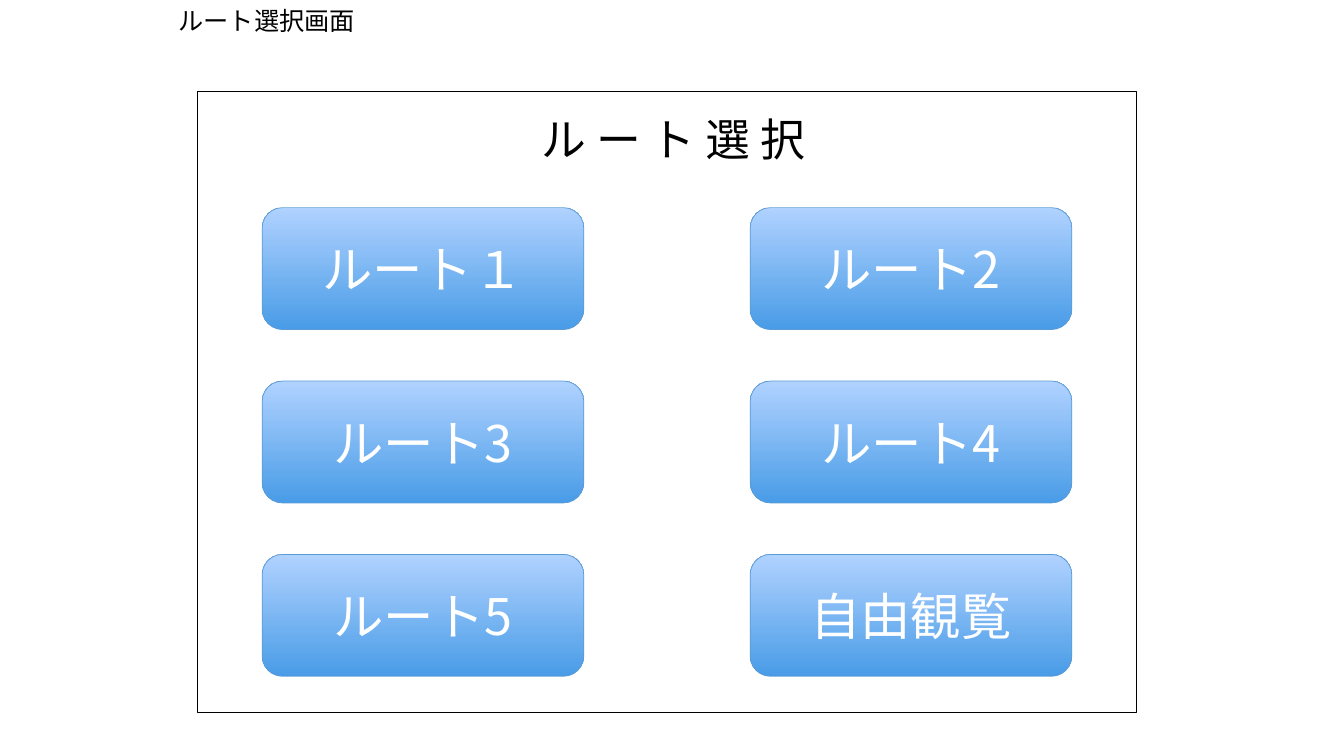
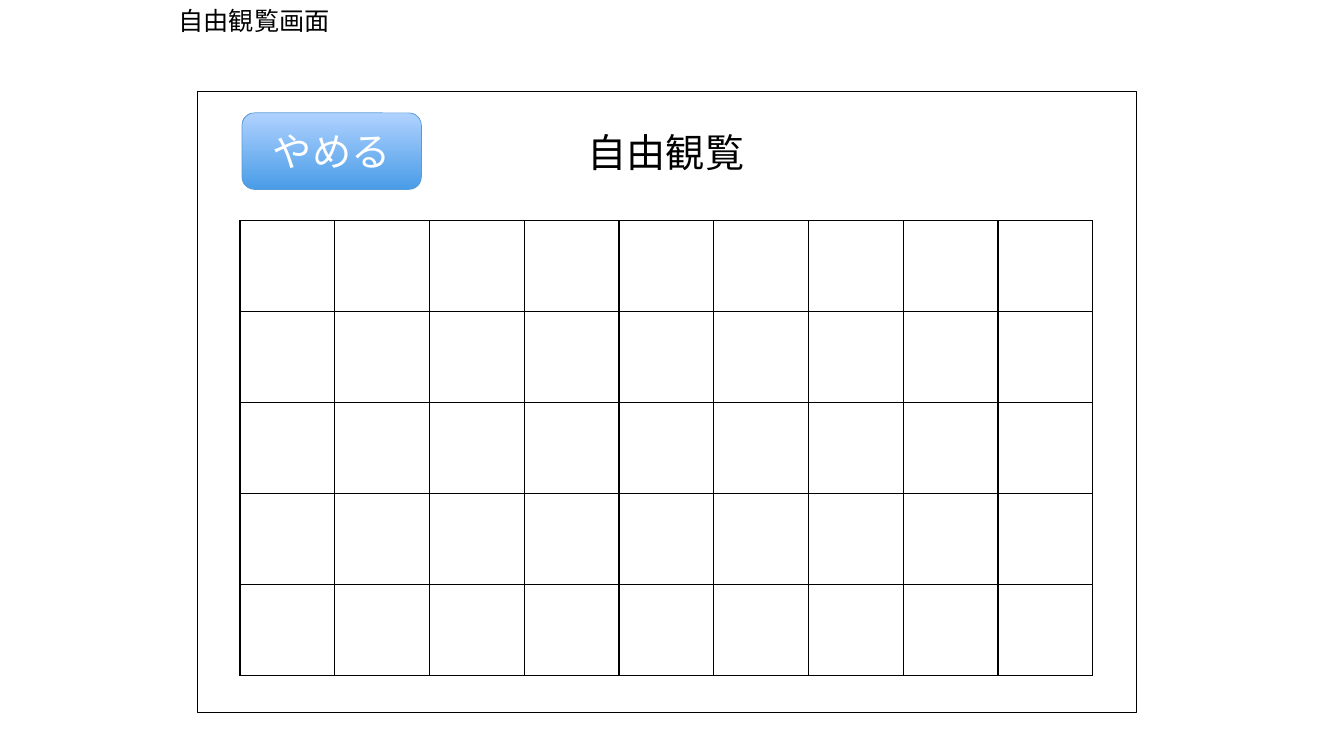
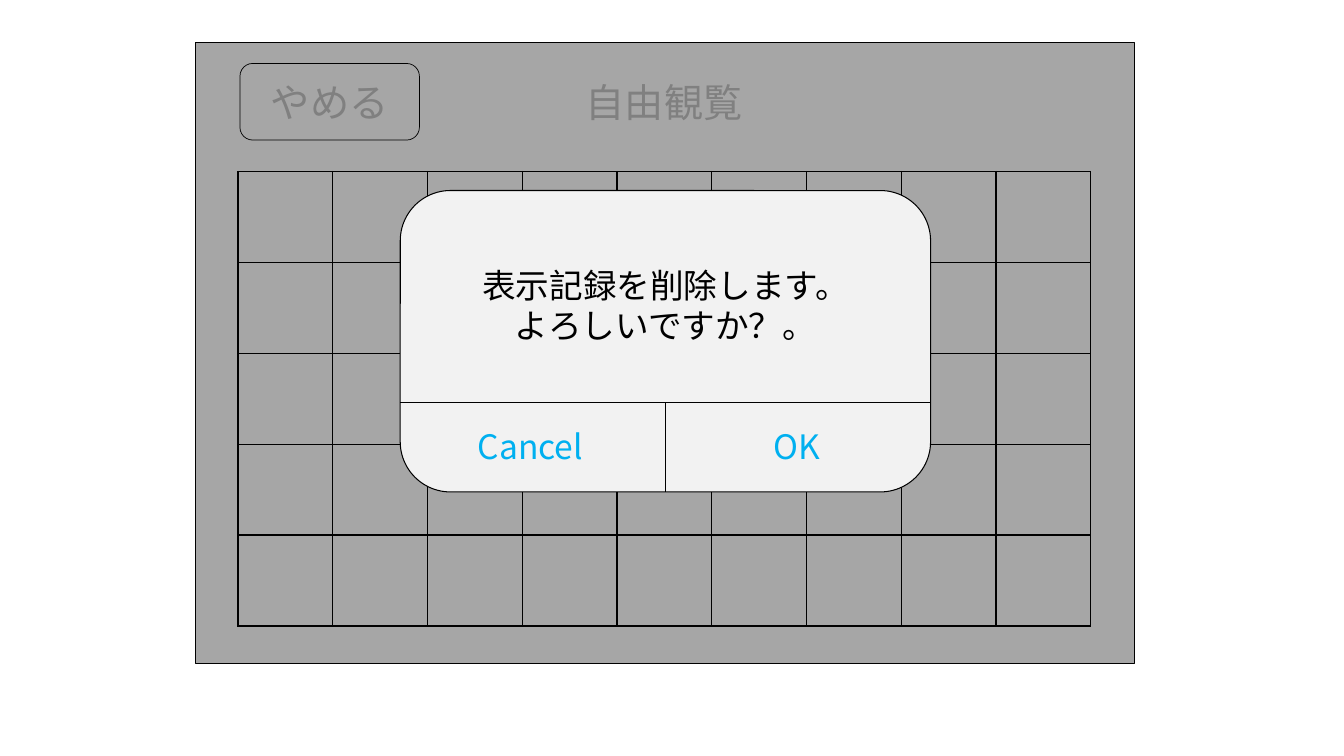
from dataclasses import dataclass
from itertools import product

from lxml.etree import SubElement
from pptx import Presentation
from pptx.dml.color import RGBColor
from pptx.enum.shapes import MSO_CONNECTOR, MSO_SHAPE
from pptx.enum.text import MSO_ANCHOR, MSO_AUTO_SIZE, PP_ALIGN
from pptx.oxml.ns import qn
from pptx.shapes.autoshape import Shape
from pptx.slide import Slide
from pptx.text.text import TextFrame
from pptx.util import Inches, Pt


@dataclass(frozen=True)
class Theme:
    font: str = "Noto Sans CJK JP"
    black: str = "000000"
    white: str = "FFFFFF"
    dimmed: str = "A6A6A6"
    dimmed_text: str = "808080"
    dialog: str = "F2F2F2"
    action: str = "00B0F0"
    button_edge: str = "5B9BD5"
    button_bottom: str = "499CE7"
    button_top: str = "B0D2FF"
    caption_size: int = 18
    dialog_size: int = 24
    heading_size: int = 28
    menu_heading_size: int = 32
    menu_button_size: int = 36


@dataclass(frozen=True)
class Box:
    x: float
    y: float
    w: float
    h: float

    def shifted(self, dx: float, dy: float) -> "Box":
        return Box(self.x + dx, self.y + dy, self.w, self.h)

    def lengths(self) -> tuple:
        return Inches(self.x), Inches(self.y), Inches(self.w), Inches(self.h)


@dataclass(frozen=True)
class Look:
    """Colours of a screen; a button without a fill gets the gradient."""
    panel: str
    text: str
    button_text: str
    button_edge: str
    button_fill: str | None = None


T = Theme()
NORMAL = Look(T.white, T.black, T.white, T.button_edge)
DIMMED = Look(T.dimmed, T.dimmed_text, T.dimmed_text, T.black, T.dimmed)
PANEL = Box(1.96, 0.91, 9.31, 6.16)
ROWS, COLS = 5, 9


def rgb(value: str) -> RGBColor:
    return RGBColor.from_string(value)


# Text
def write(tf: TextFrame, text: str, *, size: int, color: str = T.black,
          align: PP_ALIGN = PP_ALIGN.LEFT, anchor: MSO_ANCHOR = MSO_ANCHOR.TOP,
          wrap: bool = False, grow: bool = True) -> None:
    tf.word_wrap = wrap
    tf.auto_size = MSO_AUTO_SIZE.SHAPE_TO_FIT_TEXT if grow else MSO_AUTO_SIZE.NONE
    tf.vertical_anchor = anchor
    for i, line in enumerate(text.split("\n")):
        p = tf.paragraphs[0] if i == 0 else tf.add_paragraph()
        p.alignment = align
        r = p.add_run()
        r.text = line
        r.font.size = Pt(size)
        r.font.color.rgb = rgb(color)
        r.font.name = T.font
        SubElement(r.font._element, qn("a:ea"), typeface=T.font)


def add_text(s: Slide, box: Box, text: str, **fmt) -> None:
    write(s.shapes.add_textbox(*box.lengths()).text_frame, text, **fmt)


def place_title(s: Slide, box: Box, text: str, **fmt) -> None:
    title = s.shapes.title
    title.left, title.top, title.width, title.height = box.lengths()
    write(title.text_frame, text, **fmt)
    # Bring the title above what is already drawn
    title.element.getparent().append(title.element)


# Shapes
def add_block(s: Slide, kind: MSO_SHAPE, box: Box, fill: str | None,
              edge: str, width: float) -> Shape:
    sp = s.shapes.add_shape(kind, *box.lengths())
    sp.shadow.inherit = False
    sp.line.color.rgb = rgb(edge)
    sp.line.width = Pt(width)
    if fill:
        sp.fill.solid()
        sp.fill.fore_color.rgb = rgb(fill)
    else:
        sp.fill.gradient()
        sp.fill.gradient_angle = 90
        for stop, color in zip(sp.fill.gradient_stops, (T.button_bottom, T.button_top)):
            stop.color.rgb = rgb(color)
    return sp


def add_button(s: Slide, box: Box, text: str, size: int, look: Look) -> None:
    sp = add_block(s, MSO_SHAPE.ROUNDED_RECTANGLE, box, look.button_fill,
                   look.button_edge, 0.5)
    write(sp.text_frame, text, size=size, color=look.button_text,
          align=PP_ALIGN.CENTER, anchor=MSO_ANCHOR.MIDDLE, wrap=True, grow=False)


def add_panel(s: Slide, box: Box, look: Look) -> None:
    add_block(s, MSO_SHAPE.RECTANGLE, box, look.panel, T.black, 0.25)


def add_rule(s: Slide, x1: float, y1: float, x2: float, y2: float) -> None:
    line = s.shapes.add_connector(MSO_CONNECTOR.STRAIGHT, Inches(x1), Inches(y1),
                                  Inches(x2), Inches(y2))
    line.line.color.rgb = rgb(T.black)
    line.line.width = Pt(0.5)
    SubElement(line.element.spPr, qn("a:effectLst"))


def add_grid(s: Slide, box: Box, fill: str) -> None:
    table = s.shapes.add_table(ROWS, COLS, *box.lengths()).table
    for row, col in product(range(ROWS), range(COLS)):
        cell = table.cell(row, col)
        tc_pr = cell._tc.get_or_add_tcPr()
        for side in ("lnL", "lnR", "lnT", "lnB"):
            ln = SubElement(tc_pr, qn(f"a:{side}"), w=str(Pt(1)))
            SubElement(SubElement(ln, qn("a:solidFill")), qn("a:srgbClr"), val=T.black)
        cell.fill.solid()
        cell.fill.fore_color.rgb = rgb(fill)


# Screens
def add_caption(s: Slide, text: str, width: float) -> None:
    place_title(s, Box(1.67, 0, width, 0.4), text, size=T.caption_size)


def add_free_view(s: Slide, panel: Box, look: Look, heading_is_title: bool) -> None:
    add_panel(s, panel, look)
    place_heading = place_title if heading_is_title else add_text
    place_heading(s, Box(3.77, 0.31, 1.77, 0.57).shifted(panel.x, panel.y), "自由観覧",
                  size=T.heading_size, color=look.text)
    add_grid(s, Box(0.42, 1.28, 8.46, 4.51).shifted(panel.x, panel.y), look.panel)
    add_button(s, Box(0.44, 0.21, 1.78, 0.76).shifted(panel.x, panel.y), "やめる",
               T.heading_size, look)


def add_dialog(s: Slide, box: Box) -> None:
    add_block(s, MSO_SHAPE.ROUNDED_RECTANGLE, box, T.dialog, T.black, 0.75)
    middle, split, bottom = box.x + box.w / 2, box.y + 2.1, box.y + box.h
    add_rule(s, box.x, split, box.x + box.w, split)
    add_rule(s, middle, bottom, middle, split)
    for text, x, width in (("OK", 7.57, 0.68), ("Cancel", 4.64, 1.28)):
        add_text(s, Box(x, 4.18, width, 0.5), text, size=T.dialog_size, color=T.action)
    add_text(s, Box(4.65, 2.58, 3.9, 0.91), "表示記録を削除します。\nよろしいですか？。",
             size=T.dialog_size, align=PP_ALIGN.CENTER)


def route_menu(s: Slide) -> None:
    add_caption(s, "ルート選択画面", 1.97)
    add_panel(s, PANEL, NORMAL)
    add_text(s, Box(5.27, 1.06, 2.96, 0.64), "ル ー ト 選 択", size=T.menu_heading_size)
    labels = ("ルート１", "ルート2", "ルート3", "ルート4", "ルート5", "自由観覧")
    first = Box(2.6, 2.06, 3.19, 1.21)
    for i, label in enumerate(labels):
        row, col = divmod(i, 2)
        add_button(s, first.shifted(col * 4.84, row * 1.72), label,
                   T.menu_button_size, NORMAL)


def free_view(s: Slide) -> None:
    add_caption(s, "自由観覧画面", 1.72)
    add_free_view(s, PANEL, NORMAL, heading_is_title=False)


def quit_dialog(s: Slide) -> None:
    add_free_view(s, PANEL.shifted(-0.02, -0.49), DIMMED, heading_is_title=True)
    add_dialog(s, Box(3.97, 1.89, 5.26, 2.99))


def main() -> None:
    prs = Presentation()
    prs.slide_width, prs.slide_height = Inches(13.33), Inches(7.5)
    title_only = prs.slide_layouts[5]
    for build in (route_menu, free_view, quit_dialog):
        build(prs.slides.add_slide(title_only))
    prs.save("out.pptx")


if __name__ == "__main__":
    main()
